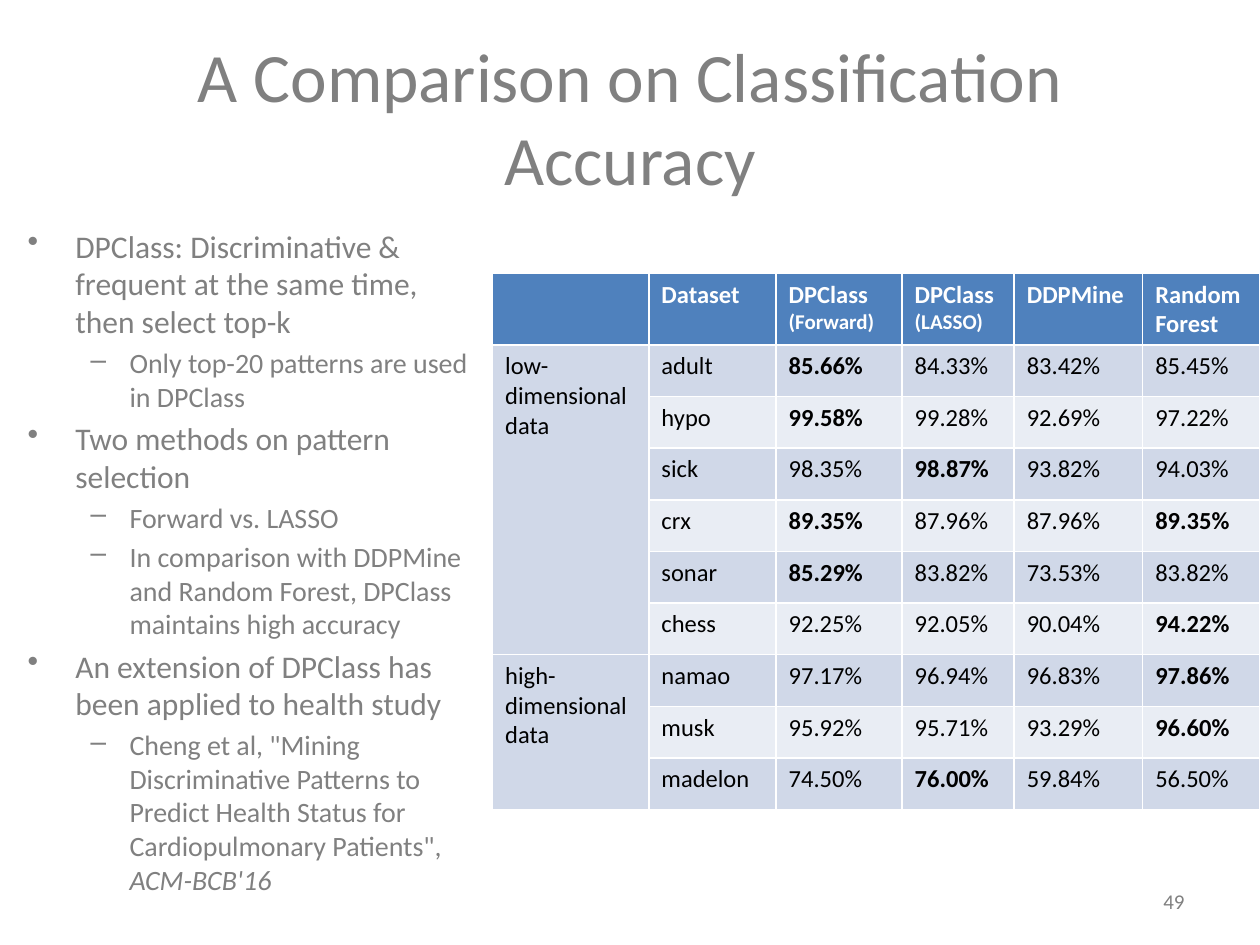
import pptx
import pptx.util
import pptx.dml.color
import pptx.enum.text
from lxml import etree

Inches, Pt = pptx.util.Inches, pptx.util.Pt
ALIGN, ANCHOR = pptx.enum.text.PP_ALIGN, pptx.enum.text.MSO_ANCHOR
GREY, WHITE, BLACK = "808080", "FFFFFF", "000000"
HEAD, BANDS = "4F81BD", ("D0D8E8", "E9EDF4")

# Bullet level, plain text, italic ending
POINTS = [
    (0, "DPClass: Discriminative & frequent at the same time, then select top-k", ""),
    (1, "Only top-20 patterns are used in DPClass", ""),
    (0, "Two methods on pattern selection", ""),
    (1, "Forward vs. LASSO", ""),
    (1, "In comparison with DDPMine and Random Forest, "
        "DPClass maintains high accuracy", ""),
    (0, "An extension of DPClass has been applied to health study", ""),
    (1, 'Cheng et al, "Mining Discriminative Patterns to Predict Health Status '
        'for Cardiopulmonary Patients", ', "ACM-BCB'16"),
]
# Bullet sign, text size, left margin, hanging indent
LEVELS = [("•", 18, 0.38, 0.38), ("–", 16, 0.81, 0.31)]

HEADS = ["", "Dataset", "DPClass\n(Forward)", "DPClass\n(LASSO)",
         "DDPMine", "Random\nForest"]
WIDTHS = [1.24, 1.01, 1, 0.89, 1.02, 0.93]
GROUPS = [
    ("low-\ndimensional\ndata", [
        ("adult", 85.66, 84.33, 83.42, 85.45),
        ("hypo", 99.58, 99.28, 92.69, 97.22),
        ("sick", 98.35, 98.87, 93.82, 94.03),
        ("crx", 89.35, 87.96, 87.96, 89.35),
        ("sonar", 85.29, 83.82, 73.53, 83.82),
        ("chess", 92.25, 92.05, 90.04, 94.22)]),
    ("high-\ndimensional\ndata", [
        ("namao", 97.17, 96.94, 96.83, 97.86),
        ("musk", 95.92, 95.71, 93.29, 96.60),
        ("madelon", 74.50, 76.00, 59.84, 56.50)]),
]


def color(code):
    return pptx.dml.color.RGBColor.from_string(code)


def style(para, size, code, bold=False):
    font = para.font
    font.name, font.size, font.bold = "Calibri", Pt(size), bold
    font.color.rgb = color(code)


def add_box(slide, left, top, width, height, anchor):
    box = slide.shapes.add_textbox(
        Inches(left), Inches(top), Inches(width), Inches(height))
    frame = box.text_frame
    frame.word_wrap = True
    frame.vertical_anchor = anchor
    return frame


def add_line(slide, text, size, align, *place):
    para = add_box(slide, *place, ANCHOR.MIDDLE).paragraphs[0]
    para.text, para.alignment = text, align
    style(para, size, GREY)


def add_list(slide, points, *place):
    frame = add_box(slide, *place, ANCHOR.TOP)
    for i, (level, text, ending) in enumerate(points):
        para = frame.add_paragraph() if i else frame.paragraphs[0]
        sign, size, margin, hang = LEVELS[level]
        para.level = level
        para.space_before = Pt(size * 0.2)
        para.add_run().text = text
        if ending:
            run = para.add_run()
            run.text, run.font.italic = ending, True
        style(para, size, GREY)
        # Bullet and hanging indent
        props = para._p.get_or_add_pPr()
        props.set("marL", str(Inches(margin)))
        props.set("indent", str(-Inches(hang)))
        mark = etree.Element(pptx.oxml.ns.qn("a:buChar"), char=sign)
        props.find(pptx.oxml.ns.qn("a:defRPr")).addprevious(mark)


def fill_cell(cell, text, fill, code=BLACK, bold=False):
    cell.fill.solid()
    cell.fill.fore_color.rgb = color(fill)
    cell.text = text
    for para in cell.text_frame.paragraphs:
        style(para, 12 if para.text.startswith("(") else 14, code, bold)


def add_grid(slide, left, top):
    count = 1 + sum(len(rows) for _, rows in GROUPS)
    grid = slide.shapes.add_table(
        count, len(HEADS), Inches(left), Inches(top),
        Inches(sum(WIDTHS)), Inches(0.49 + 0.41 * (count - 1))).table
    for col, width in zip(grid.columns, WIDTHS):
        col.width = Inches(width)
    for i, row in enumerate(grid.rows):
        row.height = Inches(0.41 if i else 0.49)
    for c, text in enumerate(HEADS):
        fill_cell(grid.cell(0, c), text, HEAD, WHITE, True)

    # Each group spans its rows; the best score in a row is bold
    r = 1
    for label, rows in GROUPS:
        grid.cell(r, 0).merge(grid.cell(r + len(rows) - 1, 0))
        fill_cell(grid.cell(r, 0), label, BANDS[0])
        for name, *scores in rows:
            band = BANDS[(r - 1) % 2]
            fill_cell(grid.cell(r, 1), name, band)
            for c, score in enumerate(scores, 2):
                fill_cell(grid.cell(r, c), f"{score:.2f}%", band,
                          bold=score == max(scores))
            r += 1


def main():
    deck = pptx.Presentation()
    deck.slide_width, deck.slide_height = Inches(10), Inches(7.5)
    slide = deck.slides.add_slide(deck.slide_layouts[6])
    add_line(slide, "A Comparison on Classification Accuracy", 39.6,
             ALIGN.CENTER, 0.5, 0.3, 9, 1.25)
    add_list(slide, POINTS, 0.12, 1.75, 3.79, 5.6)
    add_line(slide, "49", 12, ALIGN.RIGHT, 7.17, 6.95, 2.33, 0.4)
    add_grid(slide, 3.91, 2.17)
    deck.save("out.pptx")


if __name__ == "__main__":
    main()
